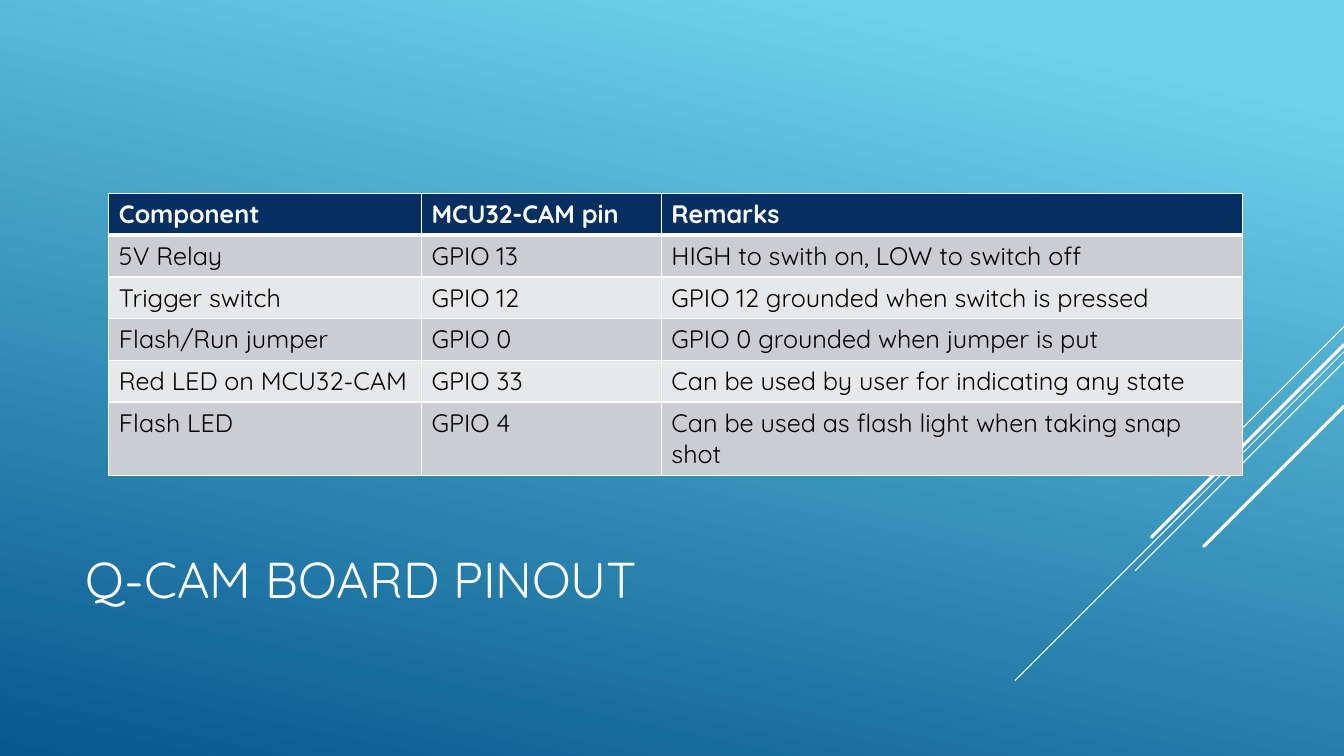
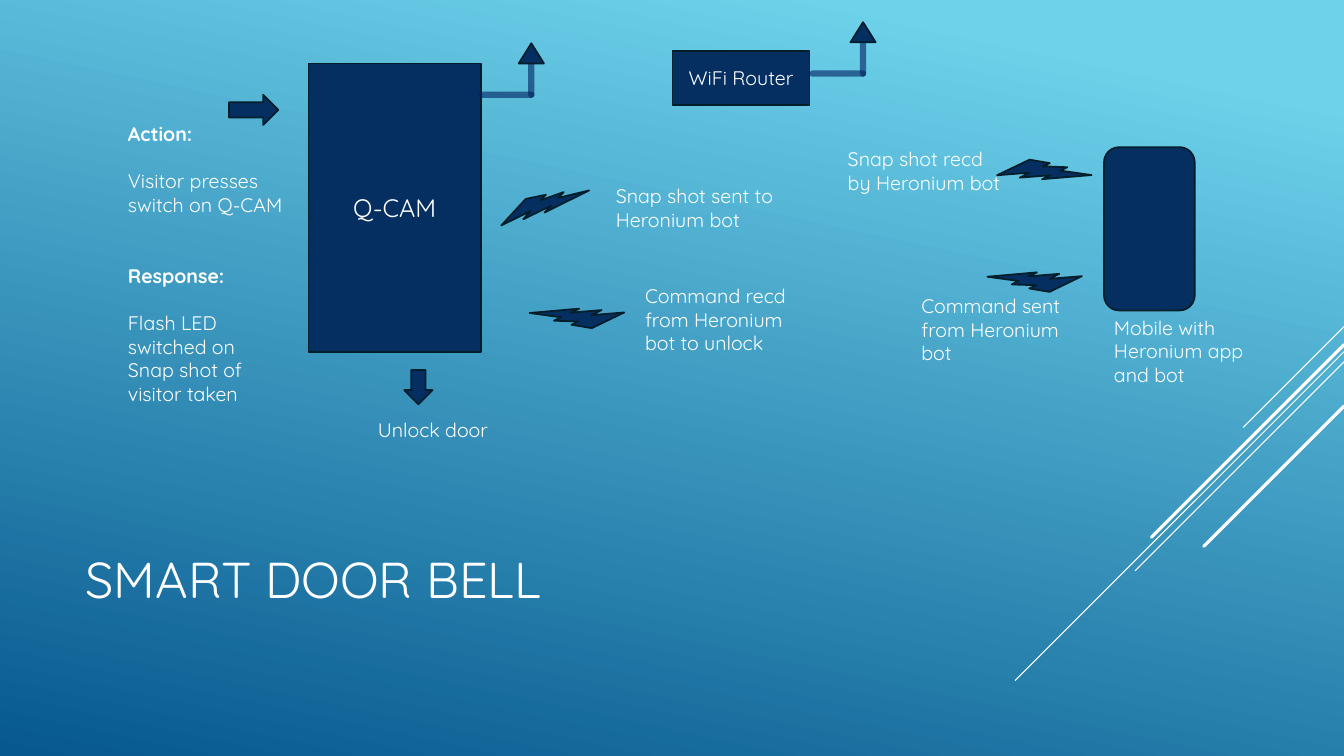
from lxml.etree import SubElement
from pptx import Presentation
from pptx.dml.color import RGBColor
from pptx.enum.shapes import MSO_CONNECTOR, MSO_SHAPE
from pptx.enum.text import MSO_ANCHOR, PP_ALIGN
from pptx.oxml import parse_xml
from pptx.oxml.ns import nsdecls, qn
from pptx.util import Inches, Pt

FONT = "Quicksand"
WHITE, BLACK = "FFFFFF", "000000"
NAVY, OUTLINE, ANTENNA = "052F61", "021E2B", "002060"
BANDS = ("E7E8EA", "CCCDD2")
SKY = ((0.1, "6ED2EB"), (1, "06588E"))
WIDTH, HEIGHT = 13.33, 7.5
DIAGONALS = [(3.24, 1, 0.75), (3.49, 3.26, 0.75), (3.59, 2.07, 0.75),
             (3.42, 1.91, 2.25), (4.03, 1.39, 2.25)]

PINOUT_TITLE = "Q-CAM BOARD PINOUT"
PINOUT = [
    ("Component", "MCU32-CAM pin", "Remarks"),
    ("5V Relay", "GPIO 13", "HIGH to swith on, LOW to switch off"),
    ("Trigger switch", "GPIO 12", "GPIO 12 grounded when switch is pressed"),
    ("Flash/Run jumper", "GPIO 0", "GPIO 0 grounded when jumper is put"),
    ("Red LED on MCU32-CAM", "GPIO 33", "Can be used by user for indicating any state"),
    ("Flash LED", "GPIO 4", "Can be used as flash light when taking snap shot"),
]
PINOUT_COLUMNS = (3.1, 2.38, 5.76)
PINOUT_ROW = 0.41

BELL_TITLE = "SMART DOOR BELL"
BLOCKS = [
    (MSO_SHAPE.RECTANGLE, (3.06, 0.63, 1.71, 2.86), "Q-CAM", 18),
    (MSO_SHAPE.RECTANGLE, (6.67, 0.51, 1.36, 0.53), "WiFi Router", 14),
    (MSO_SHAPE.ROUNDED_RECTANGLE, (10.95, 1.46, 0.9, 1.62), "", 14),
    (MSO_SHAPE.RIGHT_ARROW, (2.27, 0.94, 0.49, 0.3), "", 14),
    (MSO_SHAPE.DOWN_ARROW, (4.01, 3.67, 0.28, 0.34), "", 14),
]
ANTENNAS = [(4.77, 0.94), (8.06, 0.73)]
BOLTS = [(4.94, 1.88, 322), (9.9, 1.55, 343.6), (9.82, 2.61, 163.4), (5.28, 2.97, 163.4)]
STORY_BOX = (1.17, 1.16, 1.89, 3.16)
STORY = [
    ("Action:", True, 0),
    ("Visitor presses switch on Q-CAM", False, 17),
    ("Response:", True, 34),
    ("Flash LED switched on", False, 17),
    ("Snap shot of visitor taken", False, 0),
]
CAPTIONS = [
    ((8.31, 1.41, 1.76, 0.57), "Snap shot recd by Heronium bot"),
    ((10.95, 3.08, 1.71, 0.81), "Mobile with Heronium app and bot"),
    ((6.3, 2.77, 1.76, 0.81), "Command recd from Heronium bot to unlock"),
    ((6.01, 1.78, 1.76, 0.57), "Snap shot sent to Heronium bot"),
    ((9.04, 2.87, 1.76, 0.81), "Command sent from Heronium bot"),
    ((3.65, 4.1, 1.76, 0.34), "Unlock door"),
]


def rgb(color):
    return RGBColor.from_string(color)


def inches(*lengths):
    return [Inches(length) for length in lengths]


def style(paragraph, size, color=WHITE, bold=False):
    font = paragraph.font
    font.name, font.size, font.bold = FONT, Pt(size), bold
    font.color.rgb = rgb(color)


def add_line(slide, start, end, color, weight, opacity=100):
    line = slide.shapes.add_connector(MSO_CONNECTOR.STRAIGHT, *inches(*start, *end))
    line.line.color.rgb = rgb(color)
    line.line.width = Pt(weight)
    outline = line.line._get_or_add_ln()
    outline.set("cap", "rnd")
    if opacity < 100:
        SubElement(outline.find(".//" + qn("a:srgbClr")), qn("a:alpha"), val=str(opacity * 1000))
    SubElement(line._element.spPr, qn("a:effectLst"))


def add_block(slide, kind, box, text="", size=14):
    block = slide.shapes.add_shape(kind, *inches(*box))
    block.shadow.inherit = False
    block.fill.solid()
    block.fill.fore_color.rgb = rgb(NAVY)
    block.line.color.rgb = rgb(OUTLINE)
    block.line.width = Pt(1.25)
    if text:
        block.text_frame.text = text
        block.text_frame.vertical_anchor = MSO_ANCHOR.MIDDLE
        block.text_frame.paragraphs[0].alignment = PP_ALIGN.CENTER
        style(block.text_frame.paragraphs[0], size)
    return block


def add_text(slide, box, paragraphs):
    frame = slide.shapes.add_textbox(*inches(*box)).text_frame
    frame.word_wrap = True
    frame.text = "\n".join(text for text, _, _ in paragraphs)
    for paragraph, (_, bold, gap) in zip(frame.paragraphs, paragraphs):
        style(paragraph, 14, bold=bold)
        paragraph.space_before = Pt(gap)


def add_antenna(slide, x, y):
    tip_x, tip_y = x + 0.5, y - 0.31
    width, height = 0.25, 0.2
    add_line(slide, (x, y), (tip_x, y), ANTENNA, 4.5, 60)
    add_line(slide, (tip_x, y), (tip_x, tip_y), ANTENNA, 4.5, 60)
    add_block(slide, MSO_SHAPE.ISOSCELES_TRIANGLE,
              (tip_x - width / 2, tip_y - height, width, height))


def paint_background(master):
    fill = master.background.fill
    fill.gradient()
    fill.gradient_angle = 360 - 102
    for stop, (position, color) in zip(fill.gradient_stops, SKY):
        stop.position = position
        stop.color.rgb = rgb(color)


def add_slide(deck, heading):
    slide = deck.slides.add_slide(deck.slide_layouts[5])
    for y, run, weight in DIAGONALS:
        add_line(slide, (WIDTH, y), (WIDTH - run, y + run), WHITE, weight)
    title = slide.shapes.title
    title.left, title.top, title.width, title.height = inches(0.75, 4.91, 9.33, 1.65)
    title.text_frame.text = heading
    title.text_frame.vertical_anchor = MSO_ANCHOR.MIDDLE
    title.text_frame.paragraphs[0].alignment = PP_ALIGN.LEFT
    style(title.text_frame.paragraphs[0], 36)
    return slide


def set_borders(cell, top, bottom):
    properties = cell._tc.get_or_add_tcPr()
    for index, (side, weight) in enumerate((("L", 1), ("R", 1), ("T", top), ("B", bottom))):
        properties.insert(index, parse_xml(
            f'<a:ln{side} {nsdecls("a")} w="{Pt(weight)}"><a:solidFill>'
            f'<a:srgbClr val="{WHITE}"/></a:solidFill></a:ln{side}>'))


def build_pinout(deck):
    slide = add_slide(deck, PINOUT_TITLE)
    table = slide.shapes.add_table(
        len(PINOUT), len(PINOUT_COLUMNS),
        *inches(1.08, 1.92, sum(PINOUT_COLUMNS), PINOUT_ROW * len(PINOUT))).table
    for column, width in zip(table.columns, PINOUT_COLUMNS):
        column.width = Inches(width)
    for r, row in enumerate(PINOUT):
        table.rows[r].height = Inches(PINOUT_ROW)
        header = r == 0
        for c, text in enumerate(row):
            cell = table.cell(r, c)
            cell.text = text
            style(cell.text_frame.paragraphs[0], 18, WHITE if header else BLACK, header)
            cell.fill.solid()
            cell.fill.fore_color.rgb = rgb(NAVY if header else BANDS[r % 2])
            set_borders(cell, 3 if r == 1 else 1, 3 if header else 1)


def build_bell(deck):
    slide = add_slide(deck, BELL_TITLE)
    for block in BLOCKS:
        add_block(slide, *block)
    for x, y in ANTENNAS:
        add_antenna(slide, x, y)
    for x, y, angle in BOLTS:
        add_block(slide, MSO_SHAPE.LIGHTNING_BOLT, (x, y, 0.9, 0.32)).rotation = angle
    add_text(slide, STORY_BOX, STORY)
    for box, text in CAPTIONS:
        add_text(slide, box, [(text, False, 0)])


def main():
    deck = Presentation()
    deck.slide_width, deck.slide_height = inches(WIDTH, HEIGHT)
    paint_background(deck.slide_master)
    build_pinout(deck)
    build_bell(deck)
    deck.save("out.pptx")


if __name__ == "__main__":
    main()
